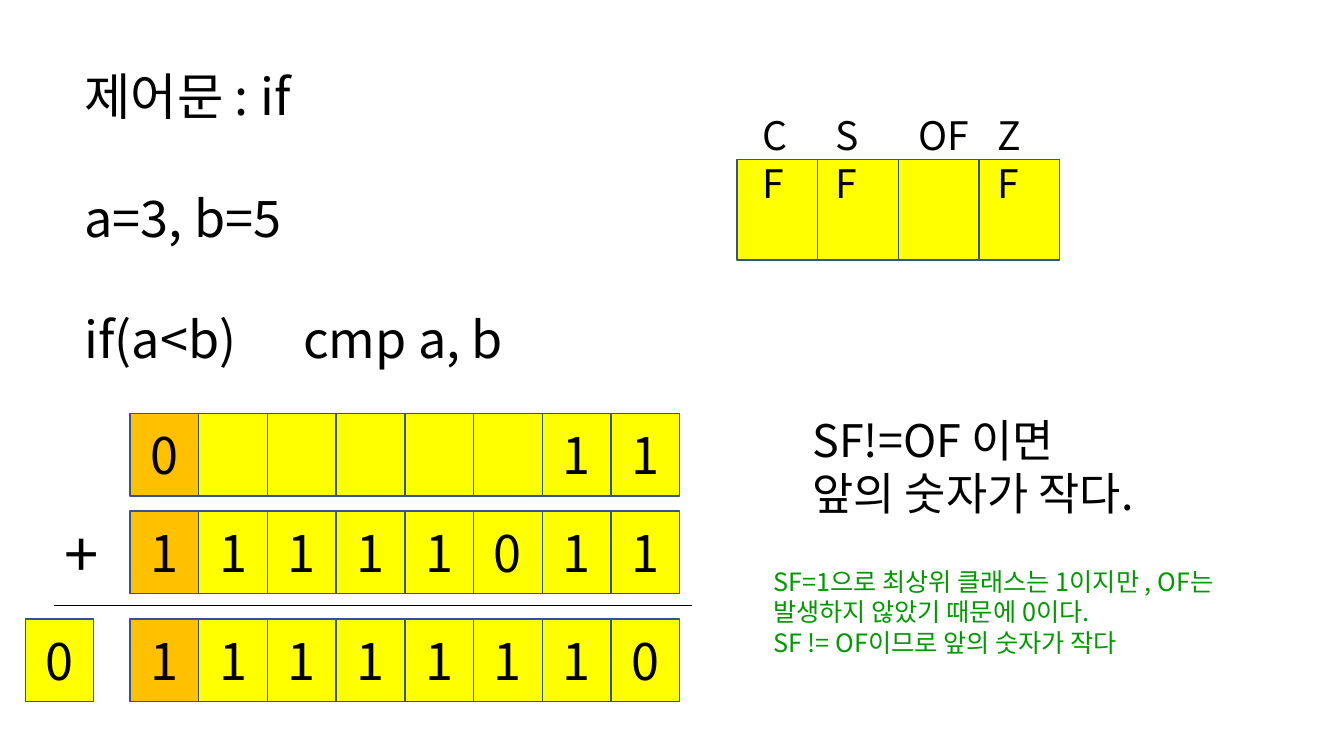
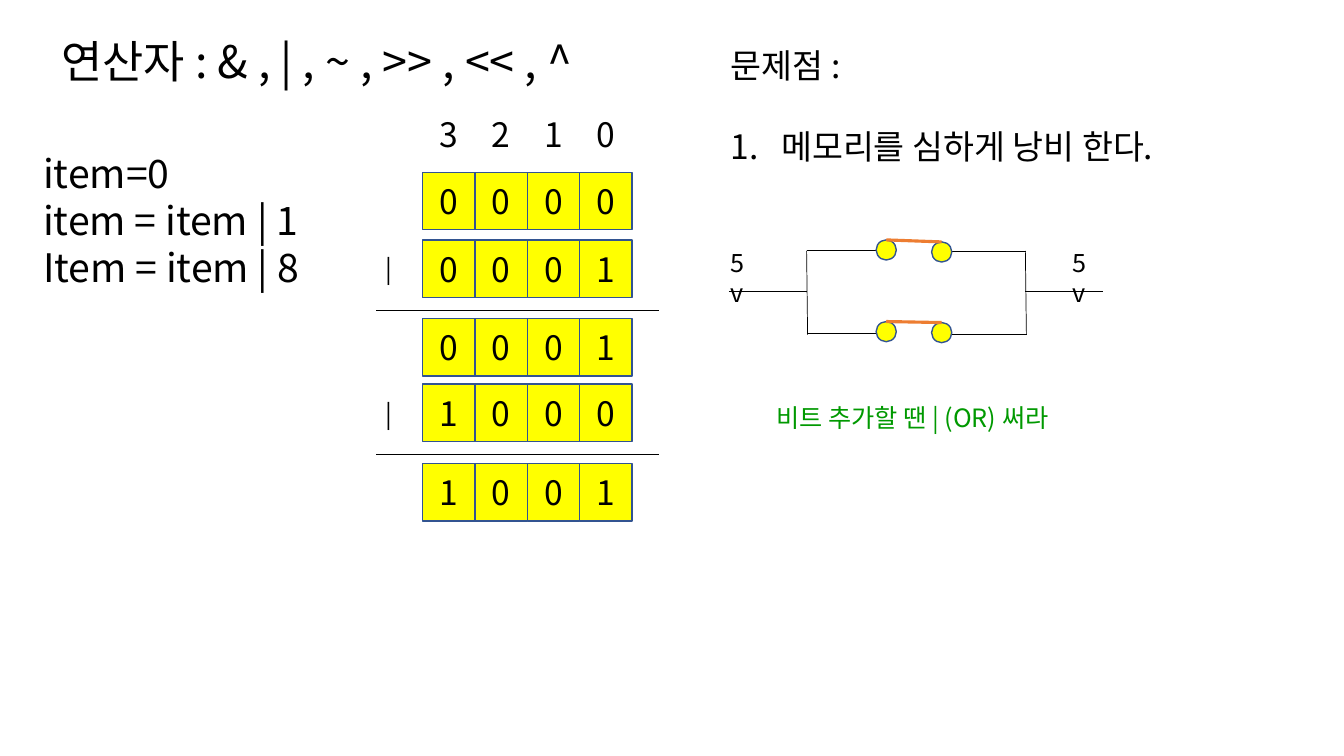
from dataclasses import dataclass

from lxml import etree
from pptx import Presentation
from pptx.dml.color import RGBColor
from pptx.enum import shapes as es, text as et
from pptx.oxml import ns
from pptx.util import Inches, Pt

FONT = "Noto Sans CJK KR"
BLACK = RGBColor(0x00, 0x00, 0x00)
GREEN = RGBColor(0x00, 0x99, 0x00)
YELLOW = RGBColor(0xFF, 0xFF, 0x00)
AMBER = RGBColor(0xFF, 0xC0, 0x00)
ORANGE = RGBColor(0xED, 0x7D, 0x31)
NAVY = RGBColor(0x32, 0x54, 0x91)


@dataclass
class Note:
    x: float
    y: float
    w: float
    h: float
    lines: tuple[str, ...]
    size: int
    color: RGBColor = BLACK
    gap: float = 0


@dataclass
class Row:
    y: float
    bits: str
    lead: RGBColor = YELLOW


@dataclass
class Grid:
    x: float
    w: float
    h: float
    size: int


@dataclass
class Wire:
    x1: float
    y1: float
    x2: float
    y2: float


def add_node(parent, tag: str, **attrs: str):
    node = etree.SubElement(parent, ns.qn(tag))
    for key, value in attrs.items():
        node.set(key, value)
    return node


def style(para, size: int, color: RGBColor) -> None:
    for run in para.runs:
        run.font.size = Pt(size)
        run.font.name = FONT
        run.font.color.rgb = color
        add_node(run.font._element, "a:ea", typeface=FONT)


def add_note(slide, note: Note):
    box = slide.shapes.add_textbox(
        Inches(note.x), Inches(note.y), Inches(note.w), Inches(note.h))
    frame = box.text_frame
    frame.word_wrap = True
    frame.text = "\n".join(note.lines)
    for i, para in enumerate(frame.paragraphs):
        if i and note.gap:
            para.space_before = Pt(note.gap)
        style(para, note.size, note.color)
    return box


def add_form(slide, kind, x: float, y: float, w: float, h: float,
             fill: RGBColor):
    form = slide.shapes.add_shape(
        kind, Inches(x), Inches(y), Inches(w), Inches(h))
    form.shadow.inherit = False
    form.fill.solid()
    form.fill.fore_color.rgb = fill
    form.line.color.rgb = NAVY
    form.line.width = Pt(1)
    return form


def add_digit(form, digit: str, size: int) -> None:
    frame = form.text_frame
    frame.text = digit
    frame.vertical_anchor = et.MSO_ANCHOR.MIDDLE
    frame.paragraphs[0].alignment = et.PP_ALIGN.CENTER
    style(frame.paragraphs[0], size, BLACK)


def add_row(slide, grid: Grid, row: Row) -> None:
    for i, bit in enumerate(row.bits):
        form = add_form(slide, es.MSO_SHAPE.RECTANGLE, grid.x + i * grid.w,
                        row.y, grid.w, grid.h, YELLOW if i else row.lead)
        if bit != " ":
            add_digit(form, bit, grid.size)


def add_wire(slide, wire: Wire, color: RGBColor = BLACK, width: float = 0.5):
    line = slide.shapes.add_connector(
        es.MSO_CONNECTOR.STRAIGHT, Inches(wire.x1), Inches(wire.y1),
        Inches(wire.x2), Inches(wire.y2))
    line.line.color.rgb = color
    line.line.width = Pt(width)
    add_node(line._element.spPr, "a:effectLst")
    return line


def add_switch(slide, left: float, right: float, y1: float, y2: float) -> None:
    ends = [add_form(slide, es.MSO_SHAPE.OVAL, x, y, 0.2, 0.2, YELLOW)
            for x, y in ((left, y1), (right, y2))]
    arm = add_wire(slide, Wire(left + 0.1, y1, right + 0.1, y2), ORANGE, 2.25)
    arm.begin_connect(ends[0], 0)
    arm.end_connect(ends[1], 0)


def build_if(slide) -> None:
    head = add_note(slide, Note(
        0.74, 0.6, 4.97, 3.13,
        ("제어문 : if", "a=3, b=5", "if(a<b)\tcmp a, b"), 36, gap=43.4))
    props = head.text_frame.paragraphs[2]._p.get_or_add_pPr()
    tabs = add_node(props, "a:tabLst")
    add_node(tabs, "a:tab", pos=str(Inches(2.17)), algn="l")

    grid = Grid(1.29, 0.6814, 0.82, 36)
    for row in (Row(4.1, "0     11", AMBER), Row(5.07, "11111011", AMBER),
                Row(6.14, "11111110", AMBER)):
        add_row(slide, grid, row)
    add_row(slide, Grid(0.25, 0.68, 0.82, 36), Row(6.14, "0"))
    add_wire(slide, Wire(0.54, 6.01, 6.86, 6.01))

    add_row(slide, Grid(7.31, 0.8, 1, 28), Row(1.58, "    "))
    for x, w, flag in ((7.46, 0.6, "CF"), (8.19, 0.6, "SF"),
                       (9.01, 0.8, "OF"), (9.8, 0.6, "ZF")):
        add_note(slide, Note(x, 1.06, w, 0.57, (flag,), 28))

    for note in (
        Note(0.54, 5.07, 0.63, 0.84, ("+",), 44),
        Note(7.96, 4.04, 3.76, 1.18, ("SF!=OF 이면", "앞의 숫자가 작다."), 32),
        Note(7.57, 5.57, 4.58, 1.01, (
            "SF=1으로 최상위 클래스는 1이지만 , OF는 발생하지 않았기 때문에 0이다.",
            "SF != OF이므로 앞의 숫자가 작다"), 18, GREEN),
    ):
        add_note(slide, note)


def build_bits(slide) -> None:
    for note in (
        Note(0.51, 0.29, 6.39, 0.64, ("연산자 : & , | , ~ , >> , << , ^",), 32),
        Note(0.33, 1.43, 2.92, 1.51,
             ("item=0", "item = item | 1", "Item = item | 8"), 28),
        Note(7.6, 3.94, 4.08, 0.4, ("비트 추가할 땐 | (OR) 써라",), 18, GREEN),
    ):
        add_note(slide, note)

    issue = add_note(slide, Note(
        7.15, 0.4, 4.84, 1.31,
        ("문제점 :", "메모리를 심하게 낭비 한다."), 24, gap=29))
    props = issue.text_frame.paragraphs[1]._p.get_or_add_pPr()
    props.set("marL", str(Inches(0.5)))
    props.set("indent", str(Inches(-0.5)))
    add_node(props, "a:buFont", typeface=FONT)
    add_node(props, "a:buAutoNum", type="arabicPeriod")

    grid = Grid(4.19, 0.52, 0.57, 24)
    for i, place in enumerate("3210"):
        box = slide.shapes.add_textbox(
            Inches(grid.x + i * grid.w), Inches(1.05),
            Inches(grid.w), Inches(grid.h))
        box.text_frame.word_wrap = True
        add_digit(box, place, grid.size)
    for row in (Row(1.71, "0000"), Row(2.38, "0001"), Row(3.16, "0001"),
                Row(3.81, "1000"), Row(4.6, "1001")):
        add_row(slide, grid, row)
    for y, rule in ((2.46, 3.08), (3.9, 4.51)):
        add_note(slide, Note(3.73, y, 0.26, 0.4, ("|",), 18))
        add_wire(slide, Wire(3.73, rule, 6.54, rule))

    for wire in (
        Wire(8, 2.48, 8.77, 2.48), Wire(8.01, 3.31, 8.78, 3.31),
        Wire(9.41, 2.49, 10.18, 2.49), Wire(9.42, 3.32, 10.19, 3.32),
        Wire(8, 2.49, 8.01, 3.32), Wire(10.17, 2.49, 10.18, 3.32),
        Wire(7.23, 2.89, 8, 2.89), Wire(10.17, 2.89, 10.94, 2.89),
    ):
        add_wire(slide, wire)
    add_switch(slide, 8.69, 9.24, 2.38, 2.4)
    add_switch(slide, 8.69, 9.24, 3.19, 3.2)
    for x in (7.15, 10.54):
        add_note(slide, Note(x, 2.4, 0.44, 0.4, ("5v",), 18))


def main() -> None:
    deck = Presentation()
    deck.slide_width = Inches(13.33)
    deck.slide_height = Inches(7.5)
    for build in (build_if, build_bits):
        build(deck.slides.add_slide(deck.slide_layouts[6]))
    deck.save("out.pptx")


if __name__ == "__main__":
    main()
